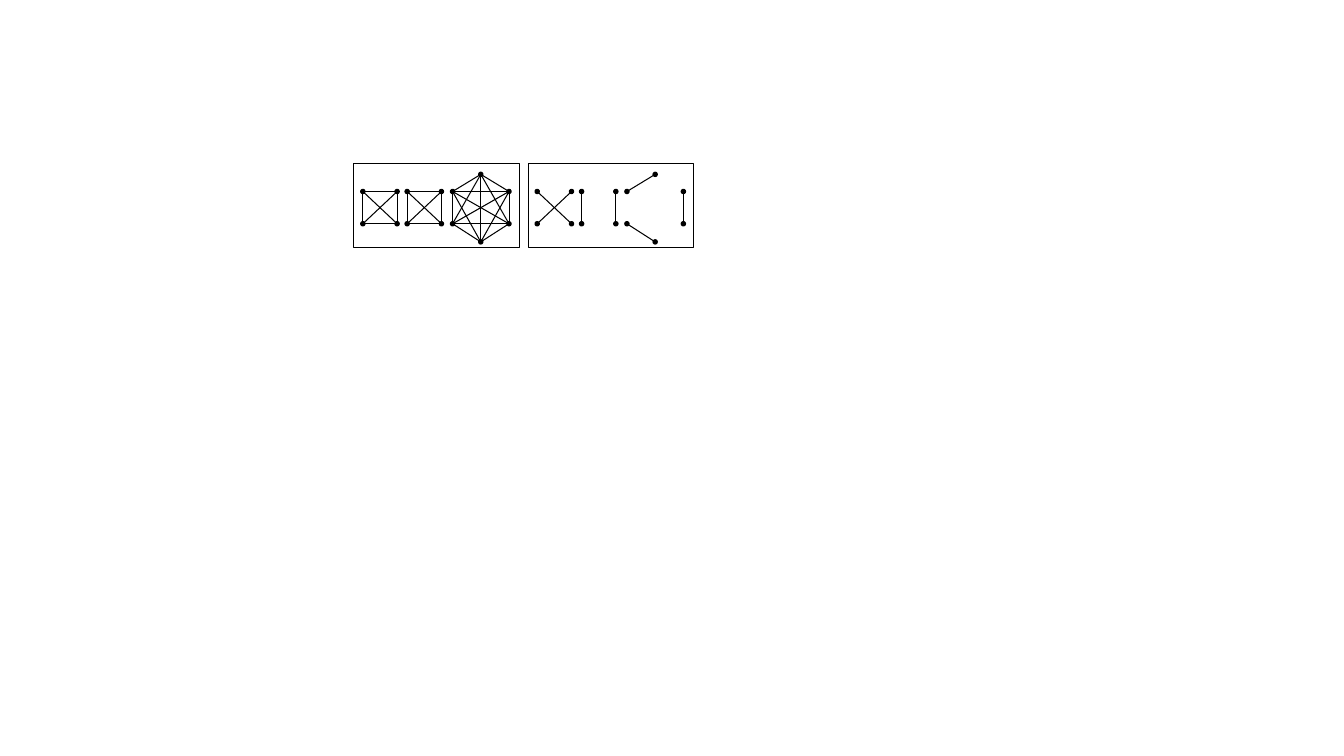
import itertools
import math
from dataclasses import dataclass

import pptx
import pptx.dml.color
import pptx.enum.shapes
import pptx.oxml
import pptx.oxml.ns
import pptx.util

Pt = pptx.util.Pt
Point = tuple[float, float]
Edge = tuple[int, int]

BLACK = "000000"
DOT_RADIUS = 1.45
PANEL_TOP = 116.64
PANEL_WIDTH = 118.08
PANEL_HEIGHT = 60.48
UPPER, LOWER = 20.16, 43.2


@dataclass(frozen=True)
class Graph:
    vertices: tuple[Point, ...]
    matching: tuple[Edge, ...]

    def complete(self) -> tuple[Edge, ...]:
        return tuple(itertools.combinations(range(len(self.vertices)), 2))


@dataclass(frozen=True)
class Panel:
    left: float
    edge_sets: tuple[tuple[Edge, ...], ...]


def square(left: float) -> tuple[Point, ...]:
    right = left + 24.48
    return (left, UPPER), (right, UPPER), (right, LOWER), (left, LOWER)


def hexagon(left: float) -> tuple[Point, ...]:
    middle, right = left + 20.16, left + 40.32
    return (
        (middle, 7.92), (right, UPPER), (right, LOWER),
        (middle, 56.16), (left, LOWER), (left, UPPER),
    )


GRAPHS = (
    Graph(square(6.48), ((0, 2), (1, 3))),
    Graph(square(38.16), ((0, 3), (1, 2))),
    Graph(hexagon(70.56), ((0, 5), (1, 2), (3, 4))),
)
PANELS = (
    Panel(252.72, tuple(graph.complete() for graph in GRAPHS)),
    Panel(377.28, tuple(graph.matching for graph in GRAPHS)),
)


def colour(value: str) -> pptx.dml.color.RGBColor:
    return pptx.dml.color.RGBColor.from_string(value)


def style_line(shape, width: float) -> None:
    shape.line.fill.solid()
    shape.line.color.rgb = colour(BLACK)
    for name, value in {"width": Pt(width)}.items():
        setattr(shape.line, name, value)


def draw_edge(page, start: Point, end: Point) -> None:
    length = math.dist(start, end)
    step_x = (end[0] - start[0]) / length * DOT_RADIUS
    step_y = (end[1] - start[1]) / length * DOT_RADIUS
    edge = page.shapes.add_connector(
        pptx.enum.shapes.MSO_CONNECTOR.STRAIGHT,
        Pt(start[0] + step_x), Pt(start[1] + step_y),
        Pt(end[0] - step_x), Pt(end[1] - step_y),
    )
    style_line(edge, 0.75)
    properties = edge._element.spPr
    properties.append(pptx.oxml.parse_xml(
        f"<a:effectLst {pptx.oxml.ns.nsdecls('a')}/>"
    ))


def draw_vertex(page, centre: Point) -> None:
    dot = page.shapes.add_shape(
        pptx.enum.shapes.MSO_SHAPE.OVAL,
        Pt(centre[0] - DOT_RADIUS), Pt(centre[1] - DOT_RADIUS),
        Pt(2 * DOT_RADIUS), Pt(2 * DOT_RADIUS),
    )
    dot.shadow.inherit = False
    dot.fill.solid()
    dot.fill.fore_color.rgb = colour(BLACK)
    style_line(dot, 1)


def draw_panel(page, panel: Panel) -> None:
    for graph, edges in zip(GRAPHS, panel.edge_sets):
        points = [(panel.left + x, PANEL_TOP + y) for x, y in graph.vertices]
        for first, second in edges:
            draw_edge(page, points[first], points[second])
        for point in points:
            draw_vertex(page, point)
    frame = page.shapes.add_shape(
        pptx.enum.shapes.MSO_SHAPE.RECTANGLE,
        Pt(panel.left), Pt(PANEL_TOP), Pt(PANEL_WIDTH), Pt(PANEL_HEIGHT),
    )
    frame.shadow.inherit = False
    frame.fill.background()
    style_line(frame, 0.75)


def main() -> None:
    deck = pptx.Presentation()
    size = {"slide_width": Pt(960), "slide_height": Pt(540)}
    for name, value in size.items():
        setattr(deck, name, value)
    page = deck.slides.add_slide(deck.slide_layouts[6])
    for panel in PANELS:
        draw_panel(page, panel)
    deck.save("out.pptx")


if __name__ == "__main__":
    main()
